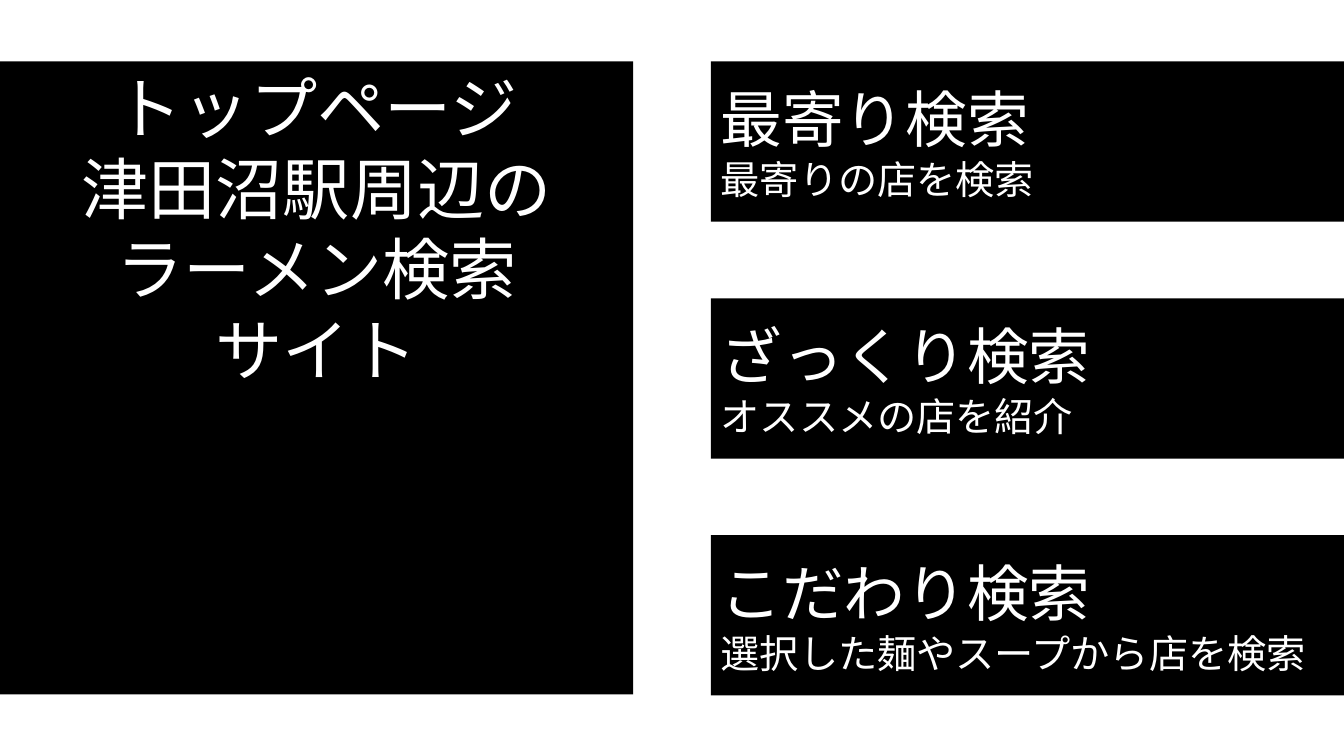
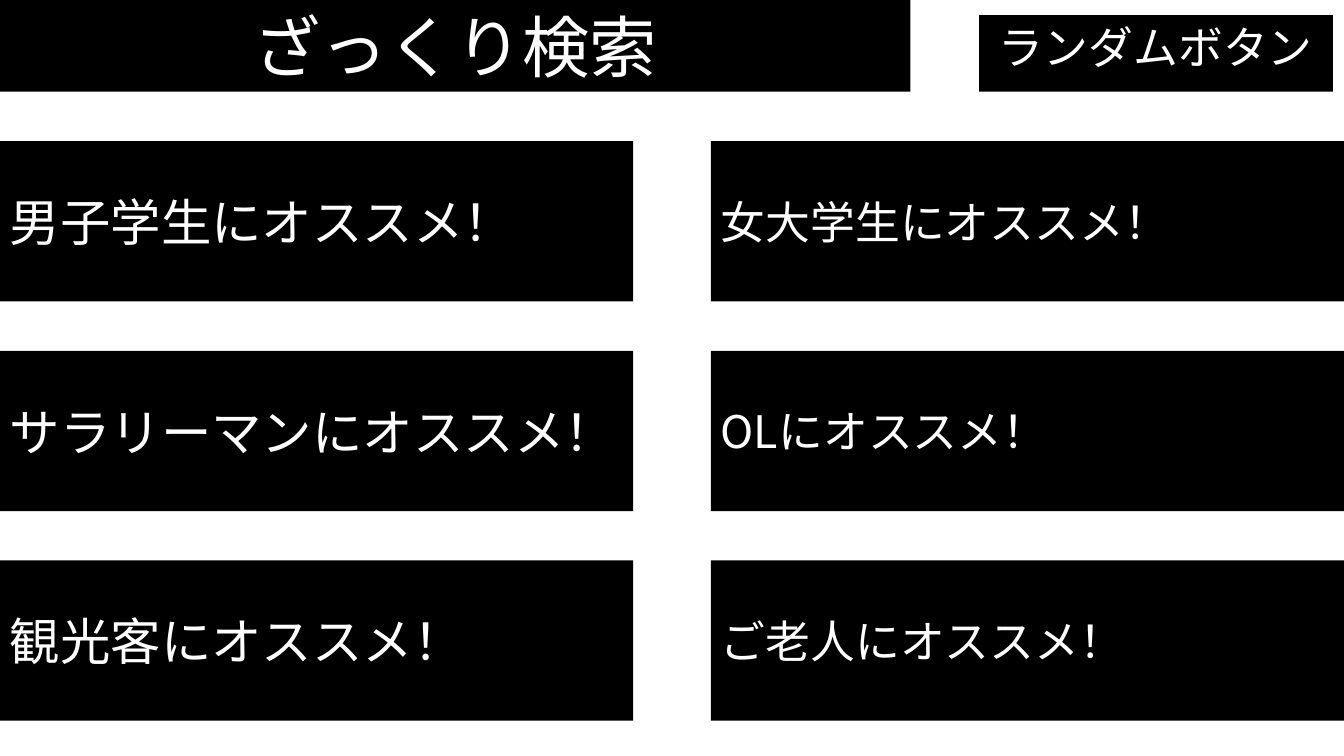
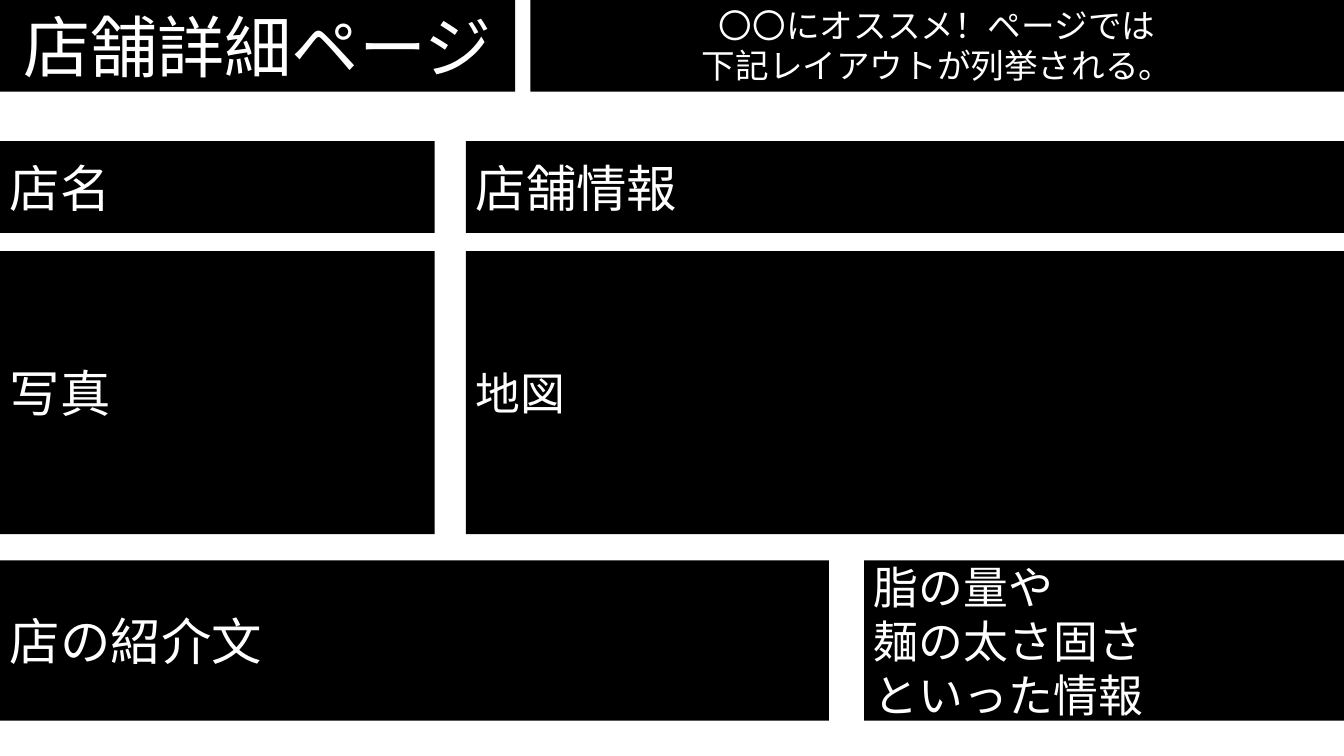
"""Build three wireframe slides for a ramen shop search site."""
import dataclasses

import lxml.etree
import pptx
import pptx.dml.color
import pptx.enum.shapes
import pptx.enum.text
import pptx.oxml.ns
import pptx.slide
import pptx.text.text
import pptx.util

EMU_PER_PX = 9144
SLIDE_W, SLIDE_H = 1333, 750
BLACK = pptx.dml.color.RGBColor(0, 0, 0)
WHITE = pptx.dml.color.RGBColor(255, 255, 255)
FONT = "Noto Sans CJK JP"

HEADER_H = 91
PANEL_W, PANEL_H = 628, 159
RIGHT_X = SLIDE_W - PANEL_W
BODY_TOP = 140
ROW_STEP = 208
BOTTOM_ROW = BODY_TOP + 2 * ROW_STEP
HEADING, MENU, LARGE, MEDIUM, CAPTION, NOTE = 48, 44, 36, 32, 28, 24


@dataclasses.dataclass(frozen=True)
class Line:
    text: str
    size: int


@dataclasses.dataclass(frozen=True)
class Panel:
    left: int
    top: int
    width: int
    height: int
    lines: list[Line]
    is_heading: bool = False


def px(length: int) -> pptx.util.Emu:
    return pptx.util.Emu(length * EMU_PER_PX)


def same_size(size: int, *texts: str) -> list[Line]:
    return [Line(text, size) for text in texts]


def write_line(paragraph: pptx.text.text._Paragraph, line: Line, centred: bool) -> None:
    align = pptx.enum.text.PP_ALIGN
    paragraph.text = line.text
    paragraph.alignment = align.CENTER if centred else align.LEFT
    font = paragraph.font
    font.size = pptx.util.Pt(line.size)
    font.color.rgb = WHITE
    font.name = FONT
    defaults = paragraph._p.pPr.find(pptx.oxml.ns.qn("a:defRPr"))
    lxml.etree.SubElement(defaults, pptx.oxml.ns.qn("a:ea"), typeface=FONT)


def draw_panel(slide: pptx.slide.Slide, panel: Panel) -> None:
    box = slide.shapes.add_shape(
        pptx.enum.shapes.MSO_SHAPE.RECTANGLE,
        px(panel.left), px(panel.top), px(panel.width), px(panel.height),
    )
    box.shadow.inherit = False
    box.fill.solid()
    box.fill.fore_color.rgb = BLACK
    box.line.fill.background()
    frame = box.text_frame
    frame.word_wrap = True
    anchor = pptx.enum.text.MSO_ANCHOR
    frame.vertical_anchor = anchor.TOP if panel.is_heading else anchor.MIDDLE
    for index, line in enumerate(panel.lines):
        paragraph = frame.add_paragraph() if index else frame.paragraphs[0]
        write_line(paragraph, line, panel.is_heading)


def top_page() -> list[Panel]:
    top, step = 61, 235
    intro = same_size(HEADING, "トップページ", "津田沼駅周辺の", "ラーメン検索", "サイト")
    searches = [
        ("最寄り検索", "最寄りの店を検索"),
        ("ざっくり検索", "オススメの店を紹介"),
        ("こだわり検索", "選択した麺やスープから店を検索"),
    ]
    return [Panel(0, top, PANEL_W, PANEL_W, intro, True)] + [
        Panel(RIGHT_X, top + row * step, PANEL_W, PANEL_H,
              [Line(name, MENU), Line(summary, CAPTION)])
        for row, (name, summary) in enumerate(searches)
    ]


def rough_search_page() -> list[Panel]:
    audiences = [("男子学生", "女大学生"), ("サラリーマン", "OL"), ("観光客", "ご老人")]
    columns = [(0, LARGE), (RIGHT_X, MEDIUM)]
    return [
        Panel(0, 0, 903, HEADER_H, same_size(HEADING, "ざっくり検索"), True),
        Panel(971, 15, 351, 76, same_size(MEDIUM, "ランダムボタン"), True),
    ] + [
        Panel(left, BODY_TOP + row * ROW_STEP, PANEL_W, PANEL_H,
              same_size(size, f"{audience}にオススメ！"))
        for row, pair in enumerate(audiences)
        for audience, (left, size) in zip(pair, columns)
    ]


def shop_page() -> list[Panel]:
    note_x, detail_x, trait_x = 526, 462, 857
    name_w, photo_top, photo_h = 431, 249, 281
    note = same_size(NOTE, "〇〇にオススメ！ページでは", "下記レイアウトが列挙される。")
    traits = same_size(MEDIUM, "脂の量や", "麺の太さ固さ", "といった情報")
    return [
        Panel(0, 0, 511, HEADER_H, same_size(HEADING, "店舗詳細ページ"), True),
        Panel(note_x, 0, SLIDE_W - note_x, HEADER_H, note, True),
        Panel(0, BODY_TOP, name_w, HEADER_H, same_size(LARGE, "店名")),
        Panel(detail_x, BODY_TOP, SLIDE_W - detail_x, HEADER_H, same_size(LARGE, "店舗情報")),
        Panel(0, photo_top, name_w, photo_h, same_size(LARGE, "写真")),
        Panel(detail_x, photo_top, SLIDE_W - detail_x, photo_h, same_size(MEDIUM, "地図")),
        Panel(0, BOTTOM_ROW, 822, PANEL_H, same_size(LARGE, "店の紹介文")),
        Panel(trait_x, BOTTOM_ROW, SLIDE_W - trait_x, PANEL_H, traits),
    ]


def main() -> None:
    deck = pptx.Presentation()
    deck.slide_width, deck.slide_height = px(SLIDE_W), px(SLIDE_H)
    for panels in (top_page(), rough_search_page(), shop_page()):
        slide = deck.slides.add_slide(deck.slide_layouts[6])
        slide.background.fill.solid()
        slide.background.fill.fore_color.rgb = WHITE
        for panel in panels:
            draw_panel(slide, panel)
    deck.save("out.pptx")


if __name__ == "__main__":
    main()
